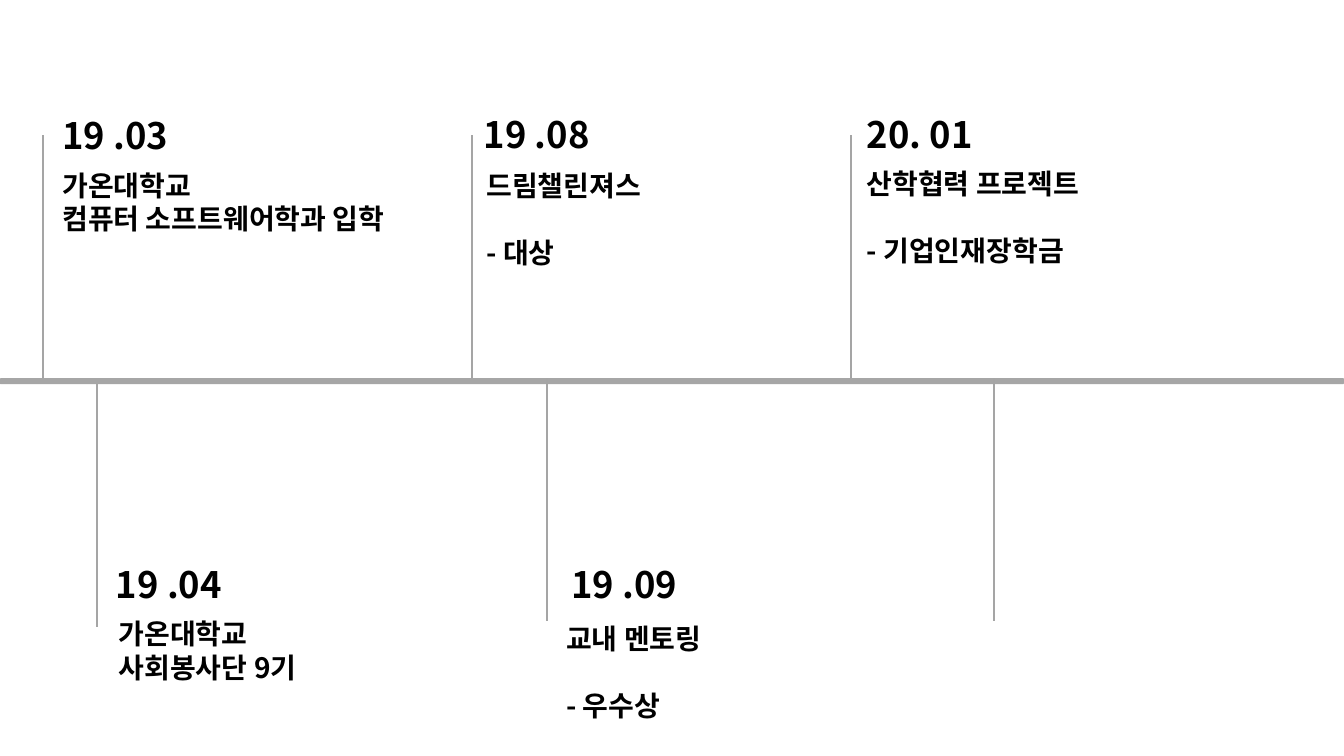
from dataclasses import dataclass

import pptx
import pptx.dml.color
import pptx.enum.shapes
import pptx.enum.text
import pptx.oxml.ns
import pptx.util
from lxml import etree
from pptx.util import Cm


@dataclass(frozen=True)
class Theme:
    font: str = "Noto Sans CJK KR"
    ink: str = "000000"
    axis: str = "A6A6A6"
    stem: str = "A5A5A5"
    date_size: int = 26
    detail_size: int = 20
    stem_width: float = 1.5


THEME = Theme()

# Layout in centimetres
SLIDE_WIDTH, SLIDE_HEIGHT = 33.87, 19.05
AXIS_TOP, AXIS_THICKNESS = 9.53, 0.15
STEM_LENGTH = 6.12
LABEL_WIDTH, DATE_HEIGHT = 9.6, 1.37

# Stem: x, start y, direction (-1 is up, 1 is down)
STEMS = [
    (1.09, AXIS_TOP, -1),
    (2.44, AXIS_TOP + AXIS_THICKNESS, 1),
    (11.89, AXIS_TOP, -1),
    (13.79, AXIS_TOP, 1),
    (21.44, AXIS_TOP, -1),
    (25.04, AXIS_TOP, 1),
]

# Event: date, date position, detail lines, detail position, spacing of last line
EVENTS = [
    ("19 .03", (1.32, 2.72), ["가온대학교", "컴퓨터 소프트웨어학과 입학"], (1.32, 4.11), 1),
    ("19 .04", (2.67, 14.05), ["가온대학교", "사회봉사단 9기"], (2.74, 15.42), 1),
    ("19 .08", (11.94, 2.69), ["드림챌린져스", "- 대상"], (12.01, 4.11), 2),
    ("19 .09", (14.15, 14.05), ["교내 멘토링", "- 우수상"], (14.02, 15.54), 2),
    ("20. 01", (21.59, 2.69), ["산학협력 프로젝트", "- 기업인재장학금"], (21.59, 4.06), 2),
]


def rgb(value):
    return pptx.dml.color.RGBColor.from_string(value)


def add_text(slide, lines, position, *, height, size, last_spacing=1):
    left, top = position
    label = slide.shapes.add_textbox(Cm(left), Cm(top), Cm(LABEL_WIDTH), Cm(height))
    frame = label.text_frame
    frame.word_wrap = True
    frame.auto_size = pptx.enum.text.MSO_AUTO_SIZE.SHAPE_TO_FIT_TEXT
    frame.text = "\n".join(lines)
    for paragraph in frame.paragraphs:
        for run in paragraph.runs:
            run.font.name = THEME.font
            run.font.size = pptx.util.Pt(size)
            run.font.bold = True
            run.font.color.rgb = rgb(THEME.ink)
            # Hangul takes the East Asian typeface
            east_asian = etree.SubElement(run.font._element, pptx.oxml.ns.qn("a:ea"))
            east_asian.set("typeface", THEME.font)
            run.font._element.find(pptx.oxml.ns.qn("a:latin")).addnext(east_asian)
    if last_spacing != 1:
        frame.paragraphs[-1].line_spacing = float(last_spacing)


def add_axis(slide):
    axis = slide.shapes.add_shape(
        pptx.enum.shapes.MSO_SHAPE.ROUNDED_RECTANGLE,
        0, Cm(AXIS_TOP), Cm(SLIDE_WIDTH), Cm(AXIS_THICKNESS),
    )
    axis.shadow.inherit = False
    axis.fill.solid()
    axis.fill.fore_color.rgb = rgb(THEME.axis)
    axis.line.fill.background()


def add_stem(slide, x, start, direction):
    stem = slide.shapes.add_connector(
        pptx.enum.shapes.MSO_CONNECTOR.STRAIGHT,
        Cm(x), Cm(start), Cm(x), Cm(start + direction * STEM_LENGTH),
    )
    stem.line.color.rgb = rgb(THEME.stem)
    stem.line.width = pptx.util.Pt(THEME.stem_width)
    etree.SubElement(stem._element.spPr, pptx.oxml.ns.qn("a:effectLst"))


def add_event(slide, date, date_position, details, detail_position, last_spacing):
    add_text(slide, [date], date_position, height=DATE_HEIGHT, size=THEME.date_size)
    add_text(
        slide, details, detail_position,
        height=1.96 if last_spacing == 1 else 2.57,
        size=THEME.detail_size, last_spacing=last_spacing,
    )


def main():
    deck = pptx.Presentation()
    deck.slide_width, deck.slide_height = Cm(SLIDE_WIDTH), Cm(SLIDE_HEIGHT)
    slide = deck.slides.add_slide(deck.slide_layouts[6])

    # Time axis and its stems
    add_axis(slide)
    for stem in STEMS:
        add_stem(slide, *stem)

    # Dated events
    for event in EVENTS:
        add_event(slide, *event)

    deck.save("out.pptx")


if __name__ == "__main__":
    main()
